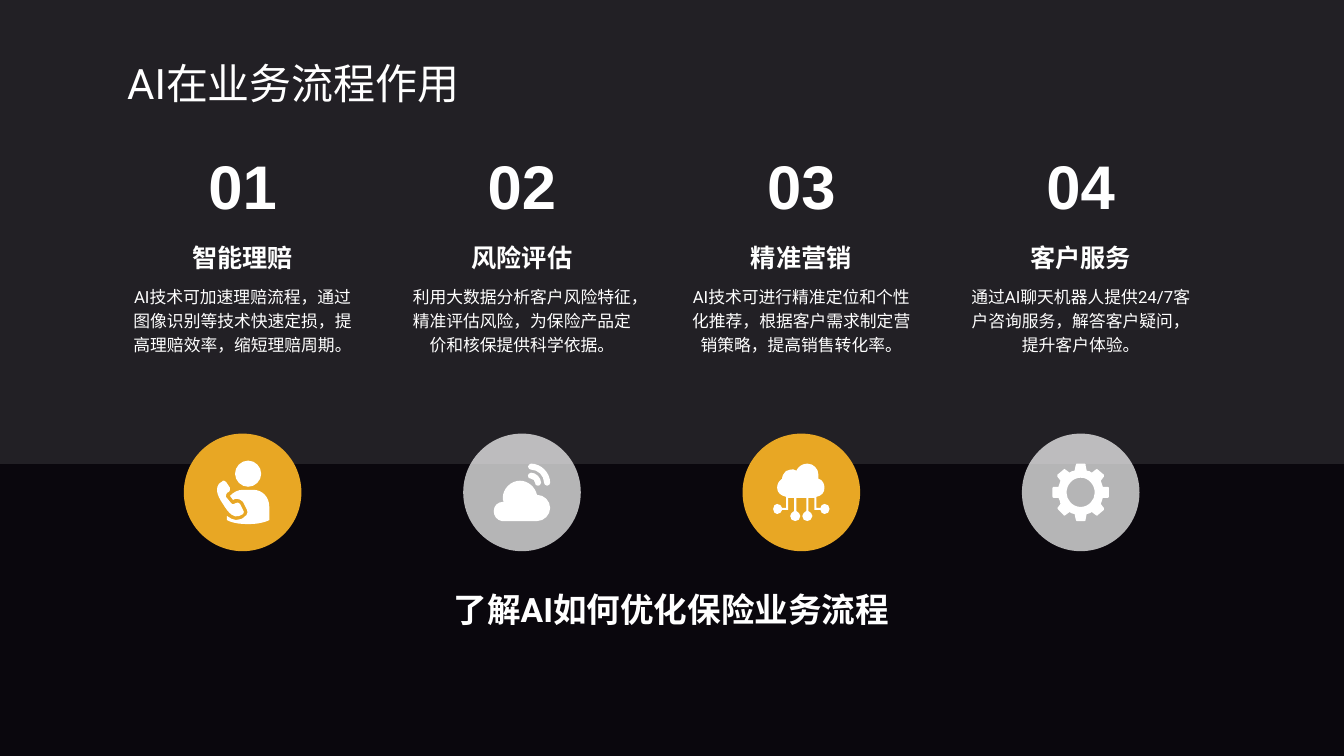
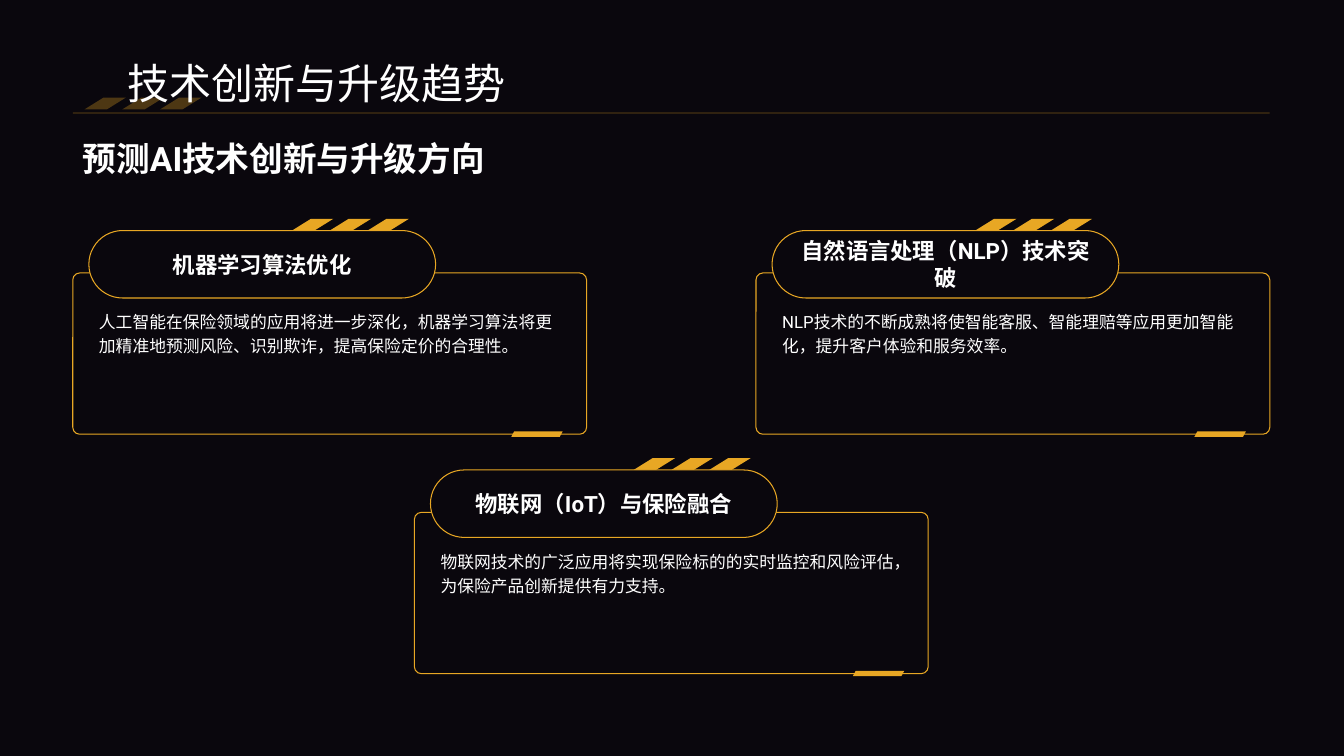
"""Build two dark slides on AI in insurance: business processes and technology trends."""
from dataclasses import dataclass
from typing import Any

from pptx import Presentation
from pptx.dml.color import RGBColor
from pptx.enum.lang import MSO_LANGUAGE_ID as Lang
from pptx.enum.shapes import MSO_CONNECTOR as Connector, MSO_SHAPE as Preset
from pptx.enum.text import MSO_ANCHOR as Anchor, PP_ALIGN as Align
from pptx.oxml.ns import qn
from pptx.oxml.xmlchemy import OxmlElement as new_element
from pptx.util import Pt

Point = tuple[float, float]
Commands = list[tuple[str, list[Point]]]

WIDTH, HEIGHT = 960, 540
COLORS = {"back": "0A070D", "white": "FFFFFF", "gold": "E8A724"}
EAST_ASIAN_FONT = "Noto Sans CJK JP"
STYLES: dict[str, dict[str, Any]] = {
    "title": {"name": "Roboto", "size": Pt(30), "bold": False},
    "heading": {"name": "Roboto", "size": Pt(24), "bold": True},
    "number": {"name": "Arial", "size": Pt(44), "bold": True},
    "topic": {"name": "Roboto", "size": Pt(18), "bold": True},
    "pill": {"name": "Roboto", "size": Pt(16), "bold": True},
    "body": {"name": "Roboto", "size": Pt(12), "bold": False},
}

PHONE = """M27 29 L37 29 C46 29 53 36 53 46 L53 59 C53 59 46 63 33 63 L31 63 C17 63 11 59 11 59
L11 55 C14 57 17 59 20 59 C22 59 23 59 25 58 C26 58 28 56 28 56 C32 54 32 50 30 47 L27 41
C25 39 23 38 21 38 C20 38 18 38 17 39 L14 35 C18 31 22 29 27 29
M8 20 C9 20 9 21 10 21 L14 27 C14 29 14 30 13 31 L11 32 C10 33 10 35 10 36 L15 42
C16 43 17 44 18 43 L20 42 C21 41 23 42 24 43 L27 49 C28 50 28 52 27 53 C27 53 25 54 23 55
C18 57 13 53 7 43 C0 33 0 27 3 23 C4 22 6 21 6 21 C6 20 7 20 8 20
M32 0 C39 0 45 6 45 13 C45 20 39 26 32 26 C25 26 19 20 19 13 C19 6 25 0 32 0"""
CLOUD = """M26 17 C34 17 41 23 43 31 C50 31 56 37 56 44 C56 51 50 57 43 57 L8 57
C3 56 0 52 0 47 C0 42 4 38 9 38 L10 38 C9 37 9 35 9 34 C9 25 17 17 26 17
M37 9 C42 9 47 14 47 19 C47 21 45 22 44 22 C42 22 41 21 41 19 C41 17 39 15 37 15
C35 15 34 14 34 12 C34 11 35 9 37 9
M37 0 C47 0 56 9 56 19 C56 20 55 22 53 22 C51 22 50 20 50 19 C50 12 44 6 37 6
C36 6 34 5 34 3 C34 2 36 0 37 0"""
NETWORK = """M51 40 C49 40 47 42 47 44 L43 44 L43 33 C48 32 51 29 51 24 C51 20 49 16 45 15
C45 13 45 12 45 11 C45 5 40 0 34 0 C29 0 25 3 23 7 C21 6 19 5 17 6 C14 6 11 8 10 11
C9 13 9 14 9 15 C6 17 4 20 4 24 C4 29 8 32 13 33 L13 44 L9 44 C8 42 7 40 4 40
C2 40 0 42 0 45 C0 48 2 50 4 50 C7 50 8 48 9 46 L15 46 L15 34 L21 34 L21 47
C19 48 17 50 17 52 C17 55 19 57 22 57 C25 57 27 55 27 52 C27 50 25 48 23 47 L23 34
L33 34 L33 47 C31 48 29 50 29 52 C29 55 31 57 34 57 C36 57 39 55 39 52
C39 50 37 48 35 47 L35 34 L41 34 L41 46 L47 46 C47 48 49 50 51 50
C54 50 56 48 56 45 C56 42 54 40 51 40"""
GEAR = """M55 23 L50 23 C49 21 49 19 48 17 L51 13 C51 13 51 12 51 11 L45 6 C45 5 44 5 43 6
L39 9 C38 8 36 7 34 7 L33 2 C33 1 33 0 32 0 L24 0 C24 0 23 1 23 2 L22 7 C20 7 18 8 17 9
L13 6 C12 5 11 5 11 6 L5 11 C5 12 5 13 5 13 L8 17 C7 19 7 21 6 23 L1 23 C0 23 0 24 0 25
L0 32 C0 33 0 34 1 34 L6 34 C7 36 8 38 8 40 L5 44 C5 44 5 45 6 46 L11 51
C11 52 12 52 13 51 L17 48 C18 49 20 50 22 50 L23 55 C23 56 24 57 24 57 L32 57
C33 57 33 56 33 55 L34 50 C36 50 38 49 39 48 L43 51 C44 52 45 52 45 51 L51 46
C51 45 51 44 51 44 L48 40 C49 38 49 36 50 34 L55 34 C56 34 56 33 56 32 L56 25
C56 24 56 23 55 23
M28 43 C20 43 14 36 14 29 C14 21 20 14 28 14 C36 14 42 21 42 29 C42 36 36 43 28 43"""


@dataclass(frozen=True)
class Area:
    """A rectangle in points."""

    left: float
    top: float
    width: float
    height: float

    def lengths(self) -> list[Pt]:
        """Return the four lengths for python-pptx."""
        return [Pt(value) for value in (self.left, self.top, self.width, self.height)]


@dataclass(frozen=True)
class Step:
    """One numbered column of the process slide."""

    topic: str
    body: str
    icon: str
    color: str
    opacity: int


@dataclass(frozen=True)
class Card:
    """One outlined card of the trend slide."""

    left: float
    top: float
    label: str
    body: str


def read_commands(drawing: str) -> Commands:
    """Split a drawing into move, line and curve commands."""
    commands: Commands = []
    for chunk in drawing.replace("M", "|M").replace("L", "|L").replace("C", "|C").split("|")[1:]:
        values = [float(value) for value in chunk[1:].split()]
        commands.append((chunk[0], list(zip(values[::2], values[1::2]))))
    return commands


def stripes(left: float, top: float) -> list[Commands]:
    """Return three slanted stripes."""
    corners = ((13.5, 0), (29.5, 0), (16, 8.4), (0, 8.4))
    rows = [[(left + 27 * index + x, top + y) for x, y in corners] for index in range(3)]
    return [[("M", row[:1]), ("L", row[1:])] for row in rows]


def set_opacity(shape: Any, percent: int) -> None:
    """Make the shape's colour partly transparent."""
    for color in shape.element.spPr.iter(qn("a:srgbClr")):
        alpha = new_element("a:alpha")
        alpha.set("val", str(percent * 1000))
        color.append(alpha)


def paint(shape: Any, fill: str = "", line: str = "", opacity: int = 100) -> None:
    """Set fill, line and opacity, and drop the shadow."""
    shape.shadow.inherit = False
    if fill:
        shape.fill.solid()
        shape.fill.fore_color.rgb = RGBColor.from_string(COLORS[fill])
    else:
        shape.fill.background()
    if line:
        shape.line.color.rgb = RGBColor.from_string(COLORS[line])
        shape.line.width = Pt(0.75)
    else:
        shape.line.fill.background()
    if opacity < 100:
        set_opacity(shape, opacity)


def add_preset(page: Any, preset: Preset, area: Area, adjust: float | None = None, **look: Any) -> Any:
    """Add a painted preset shape."""
    shape = page.shapes.add_shape(preset, *area.lengths())
    if adjust is not None:
        shape.adjustments[0] = adjust
    paint(shape, **look)
    return shape


def bend_curves(shape: Any, commands: Commands) -> None:
    """Join the three segments of each curve command into one cubic curve."""
    segments = iter(list(shape.element.spPr.iter(qn("a:lnTo"))))
    for letter, points in commands:
        if letter == "M":
            continue
        parts = [next(segments) for _ in points]
        if letter == "C":
            curve = new_element("a:cubicBezTo")
            parts[0].addprevious(curve)
            for part in parts:
                curve.append(part[0])
                part.getparent().remove(part)


def add_outline(page: Any, commands: Commands, fill: str, opacity: int = 100) -> None:
    """Add one filled freeform made of closed contours."""
    builder = None
    for letter, points in commands:
        places = [(Pt(x), Pt(y)) for x, y in points]
        if letter != "M":
            builder.add_line_segments(places, close=False)
        elif builder is None:
            builder = page.shapes.build_freeform(*places[0])
        else:
            builder.add_line_segments([], close=True)
            builder.move_to(*places[0])
    builder.add_line_segments([], close=True)
    shape = builder.convert_to_shape()
    bend_curves(shape, commands)
    paint(shape, fill=fill, opacity=opacity)


def add_icon(page: Any, drawing: str, center: Point) -> None:
    """Add a white icon centred on a point."""
    unit = 0.72
    commands = read_commands(drawing)
    xs, ys = zip(*(point for _, points in commands for point in points))
    left, top = center[0] - unit * max(xs) / 2, center[1] - unit * max(ys) / 2
    placed = [(letter, [(left + unit * x, top + unit * y) for x, y in points]) for letter, points in commands]
    add_outline(page, placed, "white")


def write(box: Any, text: str, style: str, align: Align = Align.LEFT, anchor: Anchor = Anchor.TOP,
          spacing: float = 1.0, **changes: Any) -> None:
    """Write one styled paragraph into a shape."""
    frame = box.text_frame
    frame.word_wrap = True
    frame.vertical_anchor = anchor
    para = frame.paragraphs[0]
    para.alignment = align
    para.line_spacing = spacing
    span = para.add_run()
    span.text = text
    span.font.color.rgb = RGBColor.from_string(COLORS["white"])
    values = {**STYLES[style], "language_id": Lang.SIMPLIFIED_CHINESE, **changes}
    for name, value in values.items():
        setattr(span.font, name, value)
    east_asian = new_element("a:ea")
    east_asian.set("typeface", EAST_ASIAN_FONT)
    span.font._element.find(qn("a:latin")).addnext(east_asian)


def add_text(page: Any, area: Area, text: str, style: str, **options: Any) -> None:
    """Add a text box."""
    write(page.shapes.add_textbox(*area.lengths()), text, style, **options)


def add_title(page: Any, text: str, **changes: Any) -> None:
    """Add the slide title."""
    add_text(page, Area(83.8, 23.8, 800, 56.9), text, "title", anchor=Anchor.BOTTOM, **changes)


def add_page(deck: Any) -> Any:
    """Add a blank page with the dark background."""
    page = deck.slides.add_slide(deck.slide_layouts[6])
    page.background.fill.solid()
    page.background.fill.fore_color.rgb = RGBColor.from_string(COLORS["back"])
    return page


def add_step(page: Any, index: int, step: Step) -> None:
    """Draw one numbered column with its icon."""
    center, middle, circle = 173.3 + 199.55 * index, 351.7, 84
    left, width = center - 90.4, 180.8
    add_preset(page, Preset.OVAL, Area(center - circle / 2, middle - circle / 2, circle, circle),
               fill=step.color, opacity=step.opacity)
    add_icon(page, step.icon, (center, middle))
    add_text(page, Area(left, 198.3, width, 98), step.body, "body", align=Align.CENTER, spacing=1.2)
    add_text(page, Area(left, 162.7, width, 35.3), step.topic, "topic", align=Align.CENTER, anchor=Anchor.BOTTOM)
    add_text(page, Area(center - 32, 102.2, 64, 60.5), f"{index + 1:02}", "number", align=Align.CENTER)


def add_card(page: Any, card: Card) -> None:
    """Draw one outlined card with its pill label."""
    left, top = card.left, card.top
    add_preset(page, Preset.ROUNDED_RECTANGLE, Area(left, top, 367, 115.2), 0.043, line="gold")
    for stripe in stripes(left + 156.6, top - 38.7):
        add_outline(page, stripe, "gold")
    add_preset(page, Preset.PARALLELOGRAM, Area(left + 313.2, top + 113.2, 36.7, 3.8), 0.533, fill="gold")
    pill = add_preset(page, Preset.ROUNDED_RECTANGLE, Area(left + 11.5, top - 30.3, 247.7, 48.2), 0.5,
                      fill="back", line="gold")
    write(pill, card.label, "pill", align=Align.CENTER, anchor=Anchor.MIDDLE)
    add_text(page, Area(left + 11.6, top + 21.4, 342, 85), card.body, "body", spacing=1.2)


def build_process(deck: Any) -> None:
    """Build the business process slide."""
    steps = [
        Step("智能理赔", "AI技术可加速理赔流程，通过图像识别等技术快速定损，提高理赔效率，缩短理赔周期。", PHONE, "gold", 100),
        Step("风险评估", "利用大数据分析客户风险特征，精准评估风险，为保险产品定价和核保提供科学依据。", CLOUD, "white", 70),
        Step("精准营销", "AI技术可进行精准定位和个性化推荐，根据客户需求制定营销策略，提高销售转化率。", NETWORK, "gold", 100),
        Step("客户服务", "通过AI聊天机器人提供24/7客户咨询服务，解答客户疑问，提升客户体验。", GEAR, "white", 70),
    ]
    page = add_page(deck)
    add_preset(page, Preset.RECTANGLE, Area(0, 0, WIDTH, 331.4), fill="white", opacity=10)
    for index, step in enumerate(steps):
        add_step(page, index, step)
    add_text(page, Area(52, 416.9, 855, 66), "了解AI如何优化保险业务流程", "heading", align=Align.CENTER)
    add_title(page, "AI在业务流程作用")


def build_trends(deck: Any) -> None:
    """Build the technology trend slide."""
    cards = [
        Card(52, 195, "机器学习算法优化",
             "人工智能在保险领域的应用将进一步深化，机器学习算法将更加精准地预测风险、识别欺诈，提高保险定价的合理性。"),
        Card(540, 195, "自然语言处理（NLP）技术突破",
             "NLP技术的不断成熟将使智能客服、智能理赔等应用更加智能化，提升客户体验和服务效率。"),
        Card(296, 366, "物联网（IoT）与保险融合",
             "物联网技术的广泛应用将实现保险标的的实时监控和风险评估，为保险产品创新提供有力支持。"),
    ]
    page = add_page(deck)
    add_text(page, Area(52, 89.3, 544, 60.5), "预测AI技术创新与升级方向", "heading", spacing=1.2)
    add_outline(page, sum(stripes(60.5, 69.7), []), "gold", 30)
    rule = page.shapes.add_connector(Connector.STRAIGHT, Pt(52), Pt(80.8), Pt(907), Pt(80.8))
    rule.line.color.rgb = RGBColor.from_string(COLORS["gold"])
    rule.line.width = Pt(0.5)
    set_opacity(rule, 50)
    rule.element.spPr.append(new_element("a:effectLst"))
    for card in cards:
        add_card(page, card)
    add_title(page, "技术创新与升级趋势", name=EAST_ASIAN_FONT)


def main() -> None:
    """Build and save the deck."""
    deck = Presentation()
    deck.slide_width, deck.slide_height = Pt(WIDTH), Pt(HEIGHT)
    build_process(deck)
    build_trends(deck)
    deck.save("out.pptx")


if __name__ == "__main__":
    main()
